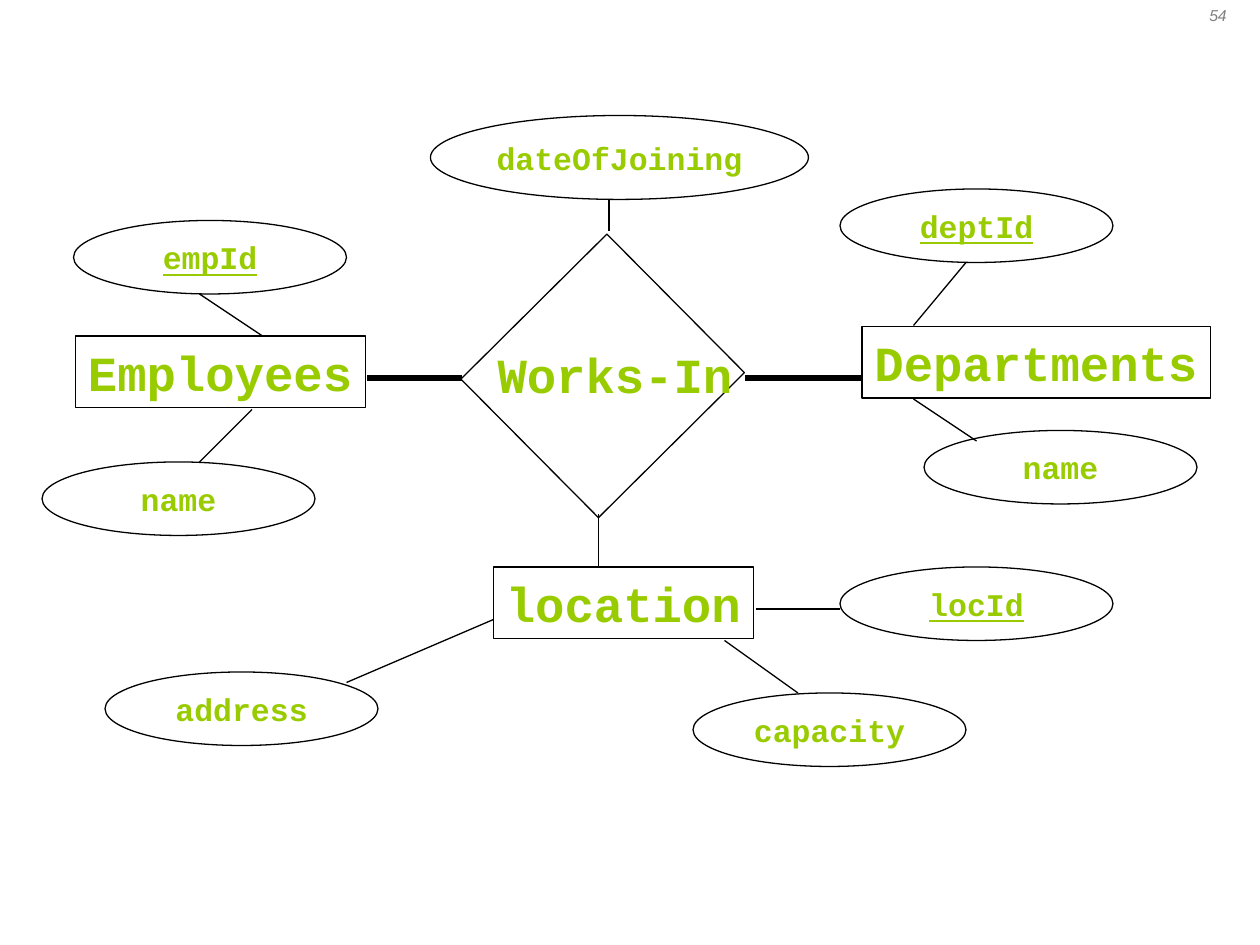
"""Builds an entity-relationship diagram of employees, departments and locations."""
import pptx
import pptx.dml.color
import pptx.enum.shapes
import pptx.enum.text
import pptx.oxml.ns
import pptx.util
from lxml import etree

SHAPES = pptx.enum.shapes.MSO_SHAPE
ALIGN = pptx.enum.text.PP_ALIGN
ANCHOR = pptx.enum.text.MSO_ANCHOR
AUTO_SIZE = pptx.enum.text.MSO_AUTO_SIZE

WIDTH, HEIGHT = pptx.util.Inches(10), pptx.util.Inches(7.5)
COLUMNS = 120
CELL = WIDTH / COLUMNS
BLACK, GREEN, GRAY = "000000", "99CC00", "808080"
THIN, THICK = 0.75, 3

ENTITIES = [("Employees", 7.2, 32), ("Departments", 82.1, 31.1), ("location", 47, 54)]
ENTITY_HEIGHT, ENTITY_PADDING, LETTER_WIDTH = 6.8, 2.4, 2.8
RELATIONSHIP = ("Works-In", 46.2, 32.2)
DIAMOND, DIAMOND_ANGLE = (48.1, 26, 18.6, 19.6), 45.2

ATTRIBUTE_SIZE = (26, 7)
ATTRIBUTES = [
    ("dateOfJoining", 41, 11, (36, 8)),
    ("name", 4, 44, ATTRIBUTE_SIZE),
    ("deptId", 80, 18, ATTRIBUTE_SIZE),
    ("name", 88, 41, ATTRIBUTE_SIZE),
    ("empId", 7, 21, ATTRIBUTE_SIZE),
    ("address", 10, 64, ATTRIBUTE_SIZE),
    ("capacity", 66, 66, ATTRIBUTE_SIZE),
    ("locId", 80, 54, ATTRIBUTE_SIZE),
]
KEYS = {"empId", "deptId", "locId"}

LINKS = {
    THICK: [(35, 36, 44, 36), (71, 36, 82, 36)],
    THIN: [
        (24, 39, 19, 44), (25, 32, 19, 28), (58, 22, 58, 19),
        (47, 59, 33, 65), (69, 61, 76, 66), (87, 31, 92, 25),
        (87, 38, 93, 42), (57, 54, 57, 49), (72, 58, 80, 58),
    ],
}
PAGE_NUMBER, PAGE_BOX = "54", (112, 0, 8, 6)

ENTITY_FONT = {"name": "Courier New", "size": pptx.util.Pt(28), "bold": True}
ATTRIBUTE_FONT = {**ENTITY_FONT, "size": pptx.util.Pt(18)}
PAGE_FONT = {"name": "Arial", "size": pptx.util.Pt(9), "italic": True}
ENTITY_FRAME = {"word_wrap": False, "auto_size": AUTO_SIZE.SHAPE_TO_FIT_TEXT,
                "vertical_anchor": ANCHOR.TOP}
ATTRIBUTE_FRAME = {"word_wrap": False, "vertical_anchor": ANCHOR.MIDDLE}
PAGE_FRAME = {"word_wrap": True, "vertical_anchor": ANCHOR.TOP}


def color(value):
    return pptx.dml.color.RGBColor.from_string(value)


def place(box):
    return [round(part * CELL) for part in box]


def apply(target, values):
    for name, value in values.items():
        setattr(target, name, value)


def set_line(shape, weight):
    shape.line.color.rgb = color(BLACK)
    shape.line.width = pptx.util.Pt(weight)


def add_outline(slide, kind, box):
    shape = slide.shapes.add_shape(kind, *place(box))
    shape.shadow.inherit = False
    shape.fill.background()
    set_line(shape, THIN)
    return shape


def write(shape, text, frame, font, alignment, text_color=GREEN):
    apply(shape.text_frame, frame)
    paragraph = shape.text_frame.paragraphs[0]
    paragraph.alignment = alignment
    run = paragraph.add_run()
    run.text = text
    apply(run.font, font)
    run.font.color.rgb = color(text_color)


def add_link(slide, ends, weight):
    connector = slide.shapes.add_connector(
        pptx.enum.shapes.MSO_CONNECTOR.STRAIGHT, *place(ends))
    set_line(connector, weight)
    properties = connector.element.find(pptx.oxml.ns.qn("p:spPr"))
    etree.SubElement(properties, pptx.oxml.ns.qn("a:effectLst"))


def entity_box(text, left, top):
    return left, top, ENTITY_PADDING + LETTER_WIDTH * len(text), ENTITY_HEIGHT


def main():
    presentation = pptx.Presentation()
    apply(presentation, {"slide_width": WIDTH, "slide_height": HEIGHT})
    slide = presentation.slides.add_slide(presentation.slide_layouts[6])

    page = slide.shapes.add_textbox(*place(PAGE_BOX))
    write(page, PAGE_NUMBER, PAGE_FRAME, PAGE_FONT, ALIGN.CENTER, GRAY)

    add_outline(slide, SHAPES.RECTANGLE, DIAMOND).rotation = DIAMOND_ANGLE
    label = slide.shapes.add_textbox(*place(entity_box(*RELATIONSHIP)))
    write(label, RELATIONSHIP[0], ENTITY_FRAME, ENTITY_FONT, ALIGN.LEFT)

    for entity in ENTITIES:
        shape = add_outline(slide, SHAPES.RECTANGLE, entity_box(*entity))
        write(shape, entity[0], ENTITY_FRAME, ENTITY_FONT, ALIGN.LEFT)

    for text, left, top, size in ATTRIBUTES:
        shape = add_outline(slide, SHAPES.OVAL, (left, top, *size))
        font = {**ATTRIBUTE_FONT, "underline": text in KEYS}
        write(shape, text, ATTRIBUTE_FRAME, font, ALIGN.CENTER)

    for weight, links in LINKS.items():
        for ends in links:
            add_link(slide, ends, weight)

    presentation.save("out.pptx")


if __name__ == "__main__":
    main()
